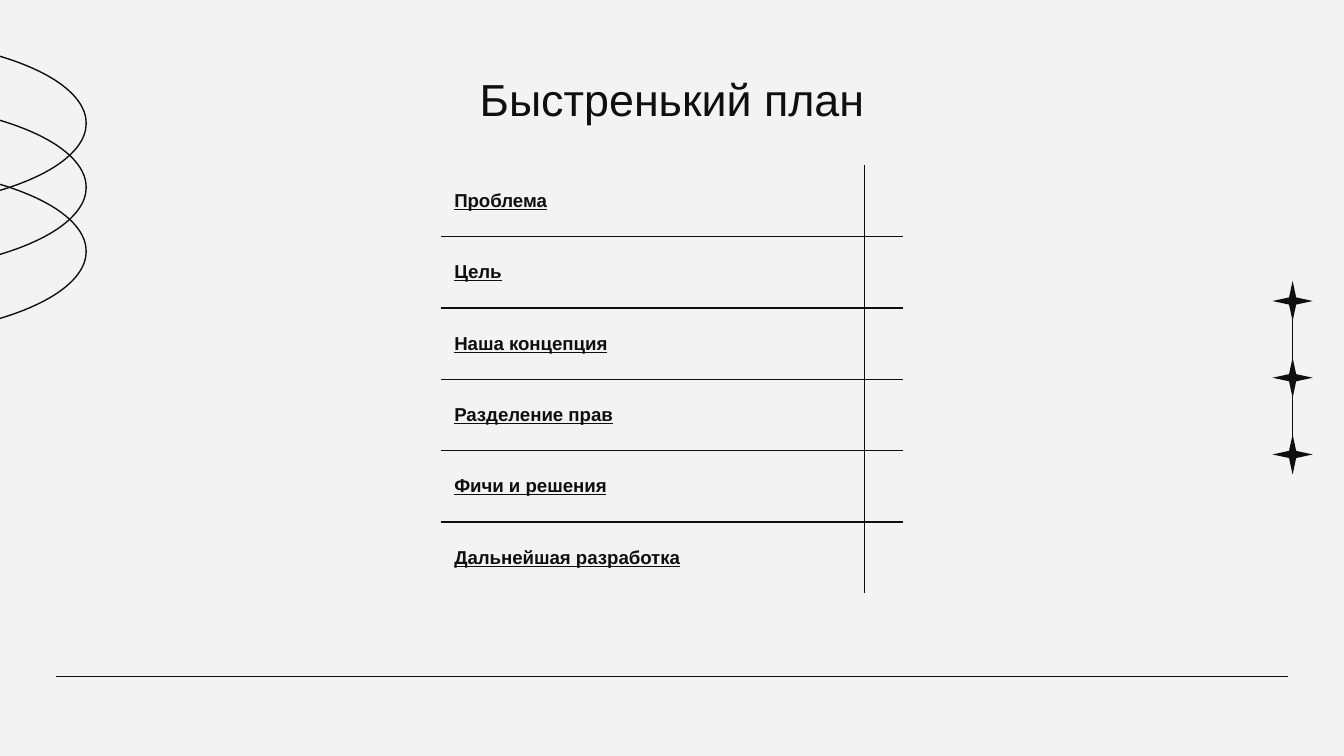
import pptx
import pptx.util
import pptx.dml.color
import pptx.enum.shapes
import pptx.enum.text
import pptx.oxml
import pptx.oxml.ns

Pt = pptx.util.Pt
SHAPE = pptx.enum.shapes.MSO_SHAPE
ANCHOR = pptx.enum.text.MSO_ANCHOR
INK = {"page": "F3F3F3", "dark": "0F0F0F"}
FONT = "Arial"
STROKE = 0.75
TOPICS = ["Проблема", "Цель", "Наша концепция", "Разделение прав",
          "Фичи и решения", "Дальнейшая разработка"]


def color(name):
    return pptx.dml.color.RGBColor.from_string(INK[name])


def add_run(para, text, size, strong=False):
    run = para.add_run()
    run.text = text
    run.font.name = FONT
    run.font.size = Pt(size)
    run.font.bold = strong
    run.font.underline = strong
    run.font.color.rgb = color("dark")


def add_line(slide, x1, y1, x2, y2):
    line = slide.shapes.add_connector(
        pptx.enum.shapes.MSO_CONNECTOR.STRAIGHT, Pt(x1), Pt(y1), Pt(x2), Pt(y2))
    line.line.color.rgb = color("dark")
    line.line.width = Pt(STROKE)
    props = line._element.spPr
    props.append(pptx.oxml.parse_xml(
        f"<a:effectLst {pptx.oxml.ns.nsdecls('a')}/>"))


def add_title(slide, text):
    box = slide.shapes.add_textbox(Pt(56.7), Pt(31.5), Pt(606.6), Pt(45.4))
    frame = box.text_frame
    frame.word_wrap = True
    frame.margin_left = frame.margin_right = Pt(7.2)
    frame.margin_top = frame.margin_bottom = Pt(7.2)
    para = frame.paragraphs[0]
    para.alignment = pptx.enum.text.PP_ALIGN.CENTER
    add_run(para, text, 24)


def set_edges(cell, shown):
    """Draw the listed sides (of L, R, T, B) and clear the others."""
    props = cell._tc.get_or_add_tcPr()
    for side in "LRTB":
        fill = "<a:noFill/>"
        if side in shown:
            fill = f'<a:solidFill><a:srgbClr val="{INK["dark"]}"/></a:solidFill>'
        props.append(pptx.oxml.parse_xml(
            f'<a:ln{side} {pptx.oxml.ns.nsdecls("a")} w="{Pt(STROKE)}">'
            f"{fill}</a:ln{side}>"))


def add_plan(slide, topics):
    """Table of topics with inner rules only."""
    widths = [226.8, 20.9]
    height = 38.25
    count = len(topics)
    frame = slide.shapes.add_table(
        count, 2, Pt(236.15), Pt(88.5), Pt(sum(widths)), Pt(height * count))
    table = frame.table
    table.first_row = table.horz_banding = False
    for col, width in zip(table.columns, widths):
        col.width = Pt(width)
    for i, topic in enumerate(topics):
        table.rows[i].height = Pt(height)
        rules = ("T" if i else "") + ("B" if i < count - 1 else "")
        for j, side in enumerate("RL"):
            cell = table.cell(i, j)
            set_edges(cell, side + rules)
            cell.fill.background()
            cell.vertical_anchor = ANCHOR.MIDDLE
            cell.margin_left = cell.margin_right = Pt(7.2)
            cell.margin_top = cell.margin_bottom = 0
        add_run(table.cell(i, 0).text_frame.paragraphs[0], topic, 10, True)


def add_ring(slide, top):
    ring = slide.shapes.add_shape(
        SHAPE.OVAL, Pt(-123.8), Pt(top), Pt(92.2), Pt(247.7))
    ring.rotation = 90
    ring.shadow.inherit = False
    ring.fill.background()
    ring.line.color.rgb = color("dark")
    ring.line.width = Pt(STROKE)


def add_star(slide, top):
    star = slide.shapes.add_shape(
        SHAPE.STAR_4_POINT, Pt(681.7), Pt(top), Pt(21.6), Pt(21.6))
    star.adjustments[0] = 0.125
    star.shadow.inherit = False
    star.fill.solid()
    star.fill.fore_color.rgb = color("dark")
    star.line.fill.background()


def main():
    deck = pptx.Presentation()
    deck.slide_width, deck.slide_height = Pt(720), Pt(405)
    slide = deck.slides.add_slide(deck.slide_layouts[6])
    slide.background.fill.solid()
    slide.background.fill.fore_color.rgb = color("page")

    add_line(slide, 29.8, 362.3, 690.2, 362.3)
    add_title(slide, "Быстренький план")
    add_plan(slide, TOPICS)
    for i in range(3):
        add_ring(slide, -57.8 + 34.3 * i)
    add_line(slide, 692.5, 155.5, 692.5, 244)
    for i in range(3):
        add_star(slide, 150.5 + 41.1 * i)
    deck.save("out.pptx")


if __name__ == "__main__":
    main()
